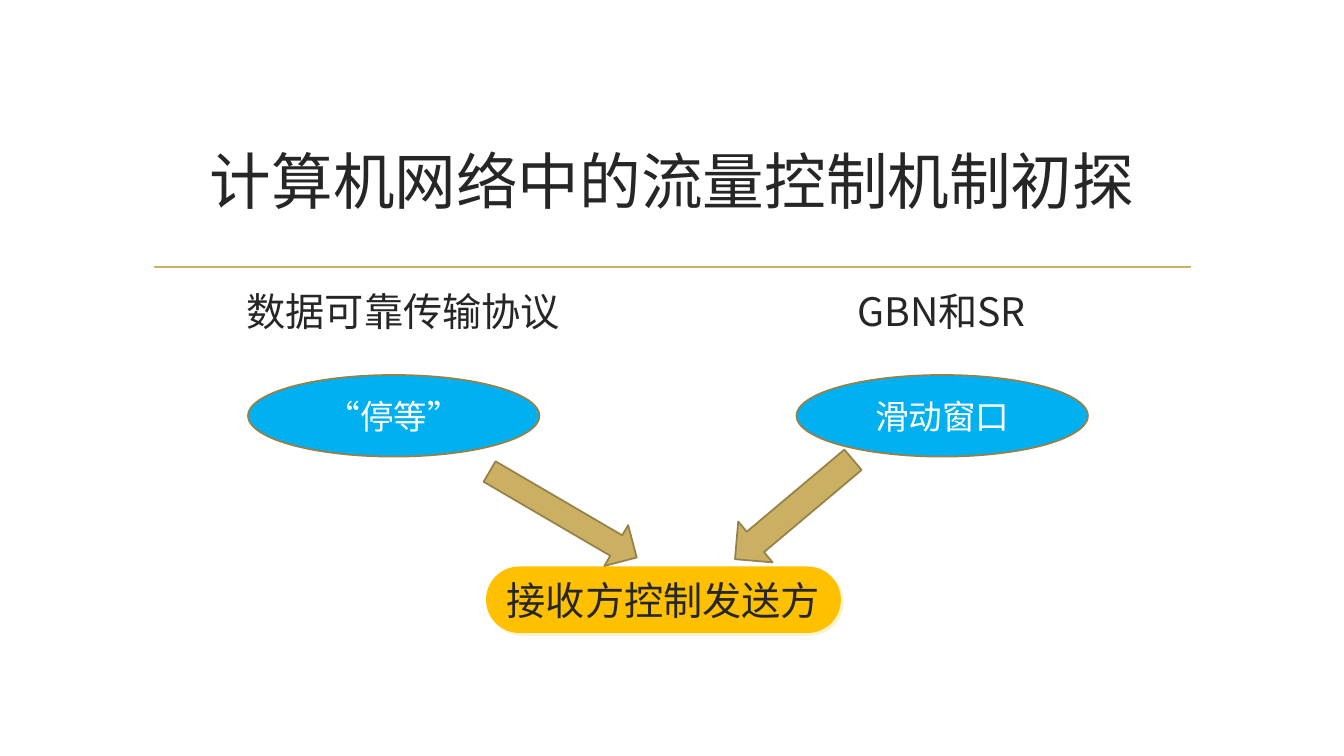
from lxml import etree
from pptx import Presentation
from pptx.dml.color import RGBColor
from pptx.enum import shapes, text
from pptx.oxml import ns
from pptx.util import Inches, Pt

COLORS = {
    "ink": "262626",
    "white": "FFFFFF",
    "gold": "CBAF62",
    "edge": "968149",
    "blue": "00B0F0",
    "amber": "FFC000",
    "glow": "FFF2CC",
}
CJK = "Noto Sans CJK SC"
LATIN = "Roboto"
SHAPE = shapes.MSO_SHAPE

TITLE = "计算机网络中的流量控制机制初探"
TITLE_BOX = (1.42, 1.07, 10.5, 1.43)
RULE = (1.53, 2.65, 11.81, 2.65)
COLUMNS = [
    {"holder": 1, "heading": "数据可靠传输协议", "left": 1.42,
     "method": "“停等”", "method_left": 2.46},
    {"holder": 3, "heading": "GBN和SR", "left": 6.76,
     "method": "滑动窗口", "method_left": 7.9},
]
HEADING_TOP, HEADING_SIZE = 2.8, (5.16, 0.66)
METHOD_TOP, METHOD_SIZE = 3.72, (2.89, 0.81)
CONCLUSION = "接收方控制发送方"
CONCLUSION_BOX = (4.82, 5.62, 3.52, 0.66)
ARROWS = [
    (SHAPE.RIGHT_ARROW, (4.74, 4.87, 1.69, 0.47), 30.3),
    (SHAPE.DOWN_ARROW, (7.61, 4.29, 0.53, 1.53), 49.9),
]


def color(name):
    return RGBColor.from_string(COLORS[name])


def place(shape, box):
    shape.left, shape.top, shape.width, shape.height = map(Inches, box)


def write(shape, words, size, ink="ink", font=CJK, anchor=text.MSO_ANCHOR.MIDDLE, wrap=True):
    frame = shape.text_frame
    frame.text = words
    frame.word_wrap = wrap
    frame.auto_size = text.MSO_AUTO_SIZE.NONE
    frame.vertical_anchor = anchor
    para = frame.paragraphs[0]
    para.alignment = text.PP_ALIGN.CENTER
    para.space_before = Pt(0)
    para.line_spacing = 1.0
    para.font.size = Pt(size)
    para.font.bold = False
    para.font.name = font
    para.font.color.rgb = color(ink)
    latin = para._p.pPr.find(".//" + ns.qn("a:latin"))
    east_asian = etree.Element(ns.qn("a:ea"), typeface=CJK)
    latin.addnext(east_asian)


def add_figure(page, kind, box, fill, edge=None):
    shape = page.shapes.add_shape(kind, *map(Inches, box))
    shape.shadow.inherit = False
    shape.fill.solid()
    shape.fill.fore_color.rgb = color(fill)
    if edge:
        shape.line.color.rgb = color(edge)
        shape.line.width = Pt(1.25)
    else:
        shape.line.fill.background()
    return shape


def add_rule(page):
    rule = page.shapes.add_connector(shapes.MSO_CONNECTOR.STRAIGHT, *map(Inches, RULE))
    rule.line.color.rgb = color("gold")
    rule.line.width = Pt(1.25)
    etree.SubElement(rule._element.spPr, ns.qn("a:effectLst"))


def add_conclusion(page):
    pill = add_figure(page, SHAPE.ROUNDED_RECTANGLE, CONCLUSION_BOX, "amber")
    pill.adjustments[0] = 0.5
    write(pill, CONCLUSION, 28, wrap=False)
    effects = pill._element.spPr.find(ns.qn("a:effectLst"))
    shadow = etree.SubElement(effects, ns.qn("a:outerShdw"), dist=str(Pt(2.8)),
                              dir=str(45 * 60000), algn="ctr", rotWithShape="0")
    etree.SubElement(shadow, ns.qn("a:srgbClr"), val=COLORS["glow"])


def main():
    deck = Presentation()
    deck.slide_width, deck.slide_height = Inches(13.33), Inches(7.5)
    page = deck.slides.add_slide(deck.slide_layouts.get_by_name("Comparison"))
    holders = {holder.placeholder_format.idx: holder for holder in page.placeholders}

    add_rule(page)
    place(page.shapes.title, TITLE_BOX)
    write(page.shapes.title, TITLE, 44)

    for column in COLUMNS:
        heading = holders[column["holder"]]
        place(heading, (column["left"], HEADING_TOP, *HEADING_SIZE))
        write(heading, column["heading"], 28, anchor=text.MSO_ANCHOR.TOP)
        heading.text_frame.paragraphs[0].space_after = Pt(6)
        method_box = (column["method_left"], METHOD_TOP, *METHOD_SIZE)
        ellipse = add_figure(page, SHAPE.OVAL, method_box, "blue", "edge")
        write(ellipse, column["method"], 24, "white", LATIN)

    add_conclusion(page)
    for kind, box, angle in ARROWS:
        add_figure(page, kind, box, "gold", "edge").rotation = angle

    used = {0} | {column["holder"] for column in COLUMNS}
    for index, holder in holders.items():
        if index not in used:
            holder._element.getparent().remove(holder._element)

    deck.save("out.pptx")


if __name__ == "__main__":
    main()
